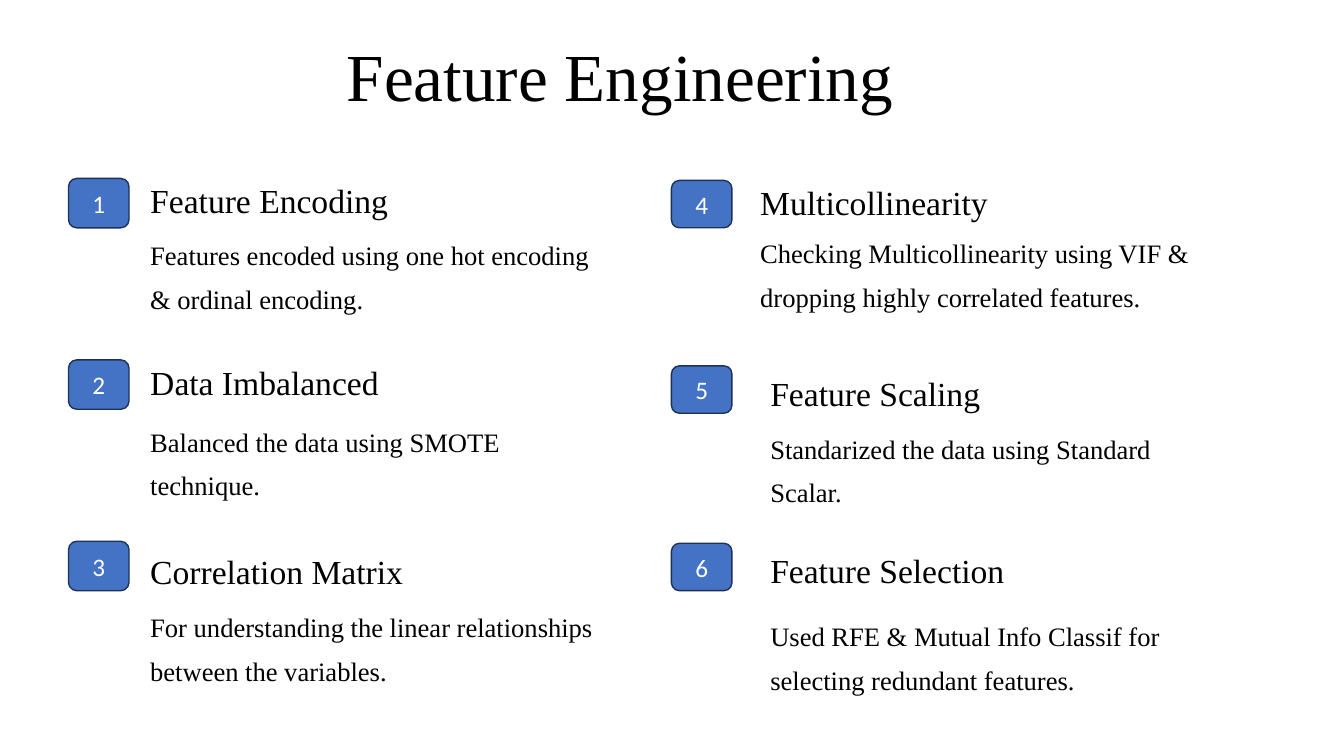
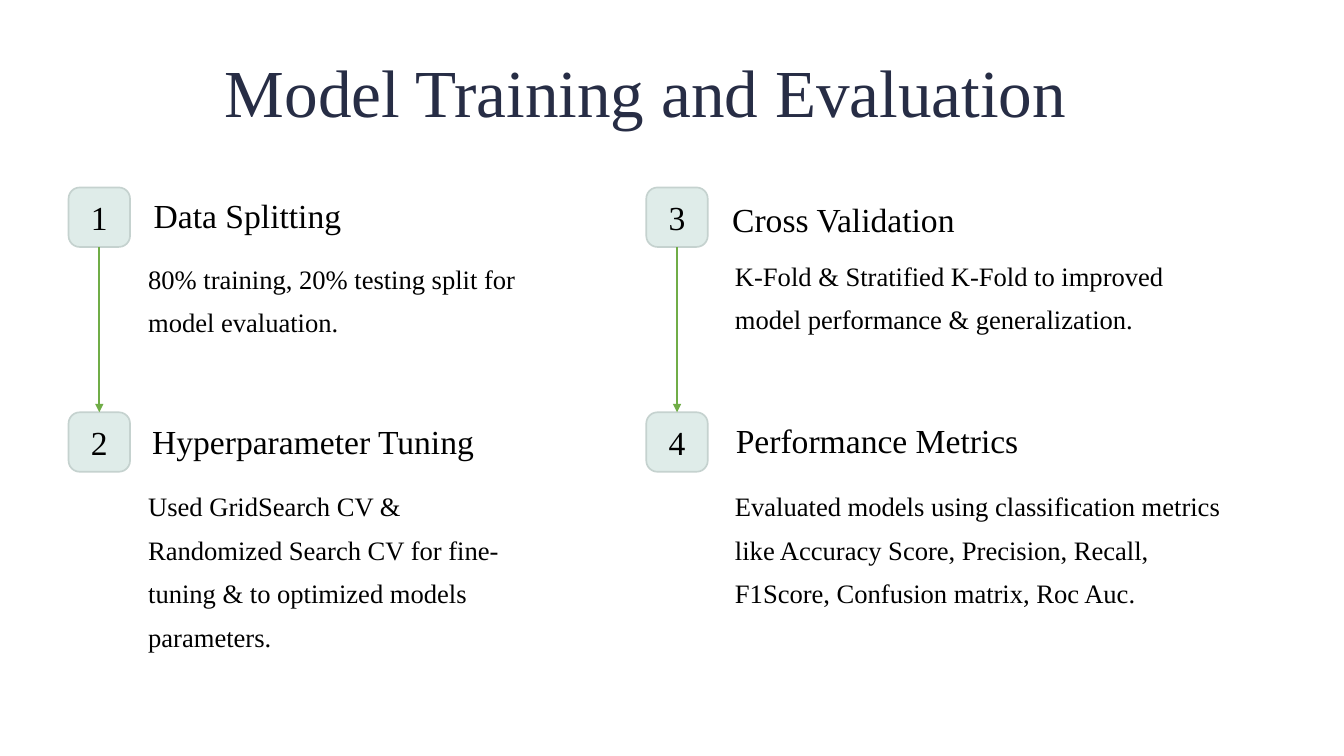
from lxml.etree import SubElement
from pptx import Presentation
from pptx.dml.color import RGBColor
from pptx.enum.shapes import MSO_CONNECTOR, MSO_SHAPE
from pptx.enum.text import MSO_ANCHOR, MSO_AUTO_SIZE, PP_ALIGN
from pptx.oxml.ns import qn
from pptx.util import Inches, Pt

BLACK = RGBColor(0x00, 0x00, 0x00)
WHITE = RGBColor(0xFF, 0xFF, 0xFF)
NAVY = RGBColor(0x27, 0x2D, 0x45)
BLUE = RGBColor(0x44, 0x72, 0xC4)
BLUE_EDGE = RGBColor(0x1E, 0x32, 0x56)
MINT = RGBColor(0xDF, 0xEC, 0xE9)
MINT_EDGE = RGBColor(0xC5, 0xD2, 0xCF)
GREEN = RGBColor(0x70, 0xAD, 0x47)
SERIF, SANS = "Times New Roman", "Calibri"


def write(sp, text, size, color=BLACK, font=SERIF, align=PP_ALIGN.LEFT,
          anchor=MSO_ANCHOR.TOP, spacing=None, wrap=True):
    """Put one formatted paragraph into a shape without insets."""
    tf = sp.text_frame
    tf.margin_left = tf.margin_right = tf.margin_top = tf.margin_bottom = 0
    tf.word_wrap, tf.auto_size, tf.vertical_anchor = wrap, MSO_AUTO_SIZE.NONE, anchor
    tf.text = text
    p = tf.paragraphs[0]
    p.alignment = align
    if spacing:
        p.line_spacing = Pt(spacing)
    p.font.name, p.font.size, p.font.color.rgb = font, Pt(size), color


def add_badge(s, number, box, fill, edge, edge_width, radius, **text_style):
    sp = s.shapes.add_shape(MSO_SHAPE.ROUNDED_RECTANGLE, *map(Inches, box))
    sp.shadow.inherit = False
    sp.adjustments[0] = radius
    sp.fill.solid()
    sp.fill.fore_color.rgb = fill
    sp.line.color.rgb = edge
    sp.line.width = Pt(edge_width)
    write(sp, str(number), align=PP_ALIGN.CENTER, anchor=MSO_ANCHOR.MIDDLE, **text_style)
    return sp


BLUE_BADGE = dict(fill=BLUE, edge=BLUE_EDGE, edge_width=1, radius=0.167,
                  size=18, color=WHITE, font=SANS)
MINT_BADGE = dict(fill=MINT, edge=MINT_EDGE, edge_width=1.2, radius=0.187, size=24)

# Each item: badge box, heading, heading box, description, description box
ENGINEERING = [
    ((0.68, 1.77, 0.6, 0.49), "Feature Encoding", (1.49, 1.77, 3.38, 0.4),
     "Features encoded using one hot encoding & ordinal encoding.", (1.49, 2.26, 4.43, 0.97)),
    ((0.68, 3.57, 0.6, 0.49), "Data Imbalanced", (1.49, 3.57, 3.38, 0.54),
     "Balanced the data using SMOTE technique.", (1.49, 4.11, 4.43, 0.97)),
    ((0.68, 5.37, 0.6, 0.49), "Correlation Matrix", (1.49, 5.45, 3.46, 0.54),
     "For understanding the linear relationships between the variables.",
     (1.49, 5.95, 4.43, 0.97)),
    ((6.66, 1.79, 0.6, 0.47), "Multicollinearity", (7.54, 1.79, 3.38, 0.47),
     "Checking Multicollinearity using VIF & dropping highly correlated features.",
     (7.54, 2.24, 4.43, 0.97)),
    ((6.66, 3.63, 0.6, 0.47), "Feature Scaling", (7.64, 3.68, 3.18, 0.4),
     "Standarized the data using Standard Scalar.", (7.64, 4.18, 4.23, 0.83)),
    ((6.66, 5.39, 0.6, 0.47), "Feature Selection", (7.64, 5.44, 3.36, 0.41),
     "Used RFE & Mutual Info Classif for selecting redundant features.",
     (7.64, 6.04, 4.23, 0.82)),
]
TRAINING = [
    ((0.68, 1.86, 0.61, 0.59), "Data Splitting", (1.47, 1.92, 1.97, 0.47),
     "80% training, 20% testing split for model evaluation.", (1.47, 2.49, 3.86, 0.86)),
    ((0.68, 4.09, 0.61, 0.59), "Hyperparameter Tuning", (1.34, 4.16, 3.53, 0.47),
     "Used GridSearch CV & Randomized Search CV for fine-tuning & to optimized models "
     "parameters.", (1.47, 4.75, 3.81, 1.85)),
    ((6.41, 1.86, 0.61, 0.59), "Cross Validation", (6.6, 1.96, 3.53, 0.42),
     "K-Fold & Stratified K-Fold to improved model performance & generalization.",
     (7.29, 2.46, 4.37, 1.29)),
    ((6.41, 4.09, 0.61, 0.59), "Performance Metrics", (7.01, 4.15, 3.38, 0.42),
     "Evaluated models using classification metrics like Accuracy Score, Precision, Recall, "
     "F1Score, Confusion matrix, Roc Auc.", (7.29, 4.75, 5.04, 1.36)),
]
# Each slide: title, title box, title colour, badge style, heading alignment, arrows, items
SLIDES = [
    ("Feature Engineering", (3.44, 0.3, 7.35, 0.84), BLACK,
     BLUE_BADGE, PP_ALIGN.LEFT, False, ENGINEERING),
    ("Model Training and Evaluation", (2.23, 0.46, 8.37, 0.84), NAVY,
     MINT_BADGE, PP_ALIGN.CENTER, True, TRAINING),
]

prs = Presentation()
prs.slide_width, prs.slide_height = Inches(13.33), Inches(7.5)

for title, title_box, title_color, badge_style, heading_align, arrows, items in SLIDES:
    s = prs.slides.add_slide(prs.slide_layouts[5])
    sp = s.shapes.title
    sp.left, sp.top, sp.width, sp.height = map(Inches, title_box)
    write(sp, title, 48, title_color, spacing=60.5, wrap=False)

    badges = []
    for number, (badge_box, heading, heading_box, text, text_box) in enumerate(items, 1):
        badges.append(add_badge(s, number, badge_box, **badge_style))
        write(s.shapes.add_textbox(*map(Inches, heading_box)), heading, 24,
              align=heading_align, spacing=30, wrap=False)
        write(s.shapes.add_textbox(*map(Inches, text_box)), text, 19, spacing=31)

    if arrows:
        for upper, lower in zip(badges[::2], badges[1::2]):
            arrow = s.shapes.add_connector(MSO_CONNECTOR.STRAIGHT, 0, 0, 0, 0)
            arrow.begin_connect(upper, 2)
            arrow.end_connect(lower, 0)
            arrow.line.color.rgb = GREEN
            arrow.line.width = Pt(1.5)
            SubElement(arrow.line._get_or_add_ln(), qn("a:tailEnd"), type="triangle")
            SubElement(arrow._element.spPr, qn("a:effectLst"))

prs.save("out.pptx")
